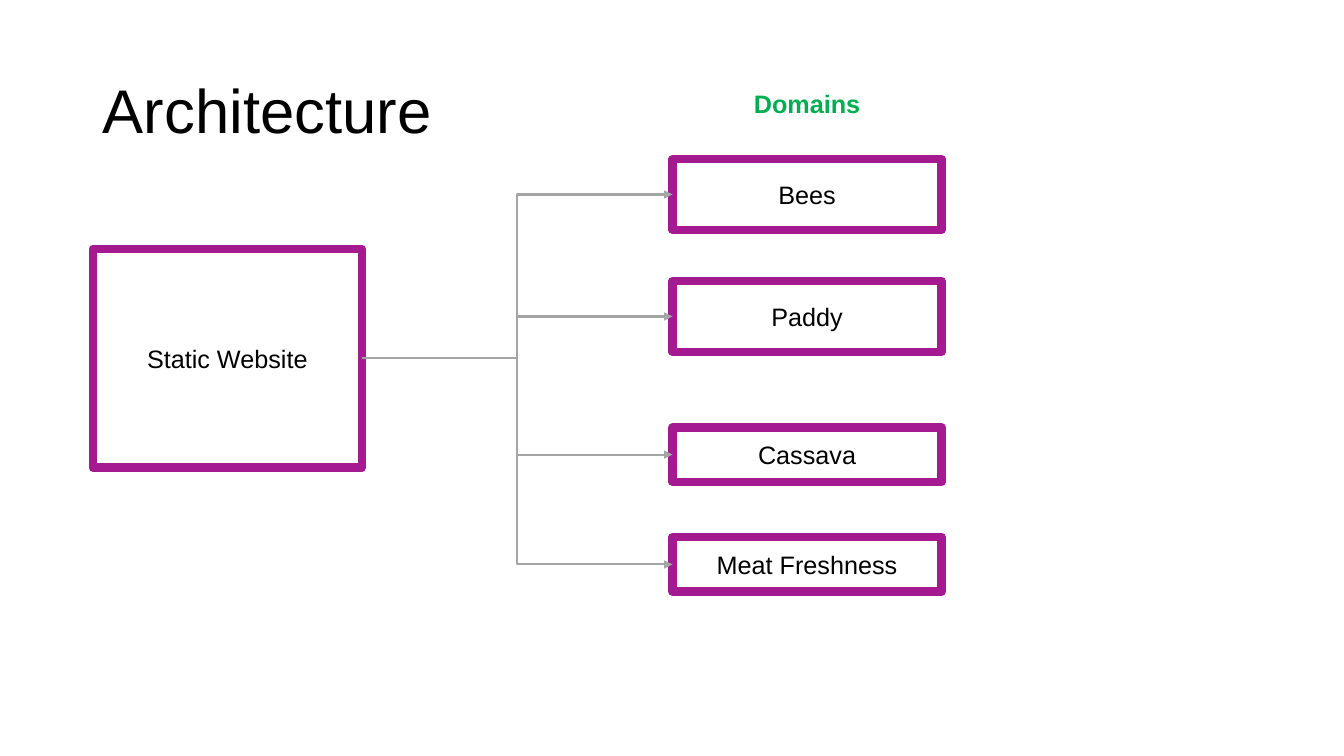
from pptx import Presentation, util as u
from pptx.dml import color
from pptx.enum import shapes, text
from pptx.oxml import ns
from lxml import etree


def rgb(value):
    return color.RGBColor.from_string(value)


class ArchitectureSlide:
    font = "Arial"
    ink = "000000"
    border = "A51991"
    arrow = "A5A5A5"
    heading = "00B050"

    def __init__(self, presentation):
        self.slide = presentation.slides.add_slide(presentation.slide_layouts[5])

    def set_text(self, shape, words, size=18, ink=None, bold=False,
                 align=text.PP_ALIGN.CENTER, anchor=text.MSO_ANCHOR.MIDDLE):
        frame = shape.text_frame
        frame.text = words
        frame.word_wrap = True
        frame.vertical_anchor = anchor
        paragraph = frame.paragraphs[0]
        paragraph.alignment = align
        for run in paragraph.runs:
            run.font.name = self.font
            run.font.size = u.Pt(size)
            run.font.bold = bold
            run.font.color.rgb = rgb(ink or self.ink)

    def title(self, words, left, top, width, height):
        shape = self.slide.shapes.title
        shape.left, shape.top = u.Inches(left), u.Inches(top)
        shape.width, shape.height = u.Inches(width), u.Inches(height)
        self.set_text(shape, words, size=44, align=text.PP_ALIGN.LEFT)
        shape.text_frame.auto_size = text.MSO_AUTO_SIZE.NONE
        shape.text_frame.paragraphs[0].line_spacing = 0.9

    def label(self, words, left, top, width, height):
        shape = self.slide.shapes.add_textbox(
            u.Inches(left), u.Inches(top), u.Inches(width), u.Inches(height))
        self.set_text(shape, words, ink=self.heading, bold=True,
                      anchor=text.MSO_ANCHOR.TOP)
        shape.text_frame.auto_size = text.MSO_AUTO_SIZE.SHAPE_TO_FIT_TEXT

    def box(self, words, left, top, width, height):
        shape = self.slide.shapes.add_shape(
            shapes.MSO_SHAPE.RECTANGLE,
            u.Inches(left), u.Inches(top), u.Inches(width), u.Inches(height))
        shape.shadow.inherit = False
        shape.fill.background()
        shape.line.color.rgb = rgb(self.border)
        shape.line.width = u.Pt(6)
        self.set_text(shape, words)
        return shape

    def link(self, source, target):
        connector = self.slide.shapes.add_connector(
            shapes.MSO_CONNECTOR.ELBOW,
            source.left + source.width, source.top + source.height // 2,
            target.left, target.top + target.height // 2)
        connector.begin_connect(source, 3)
        connector.end_connect(target, 1)
        connector.line.color.rgb = rgb(self.arrow)
        connector.line.width = u.Pt(1.5)
        properties = connector._element.spPr
        line = properties.find(ns.qn("a:ln"))
        etree.SubElement(line, ns.qn("a:tailEnd"), type="triangle")
        etree.SubElement(properties, ns.qn("a:effectLst"))


def main():
    presentation = Presentation()
    presentation.slide_width = u.Inches(13.33)
    presentation.slide_height = u.Inches(7.5)
    page = ArchitectureSlide(presentation)
    box_width, domain_left = 2.67, 6.67

    page.title("Architecture", 0.92, 0.4, 11.5, 1.45)
    page.label("Domains", domain_left, 0.83, box_width, 0.4)
    website = page.box("Static Website", 0.92, 2.47, box_width, 2.17)
    domains = [("Bees", 1.58, 0.7), ("Paddy", 2.79, 0.7),
               ("Cassava", 4.24, 0.54), ("Meat Freshness", 5.33, 0.54)]
    for name, top, height in domains:
        domain = page.box(name, domain_left, top, box_width, height)
        page.link(website, domain)

    presentation.save("out.pptx")


if __name__ == "__main__":
    main()
